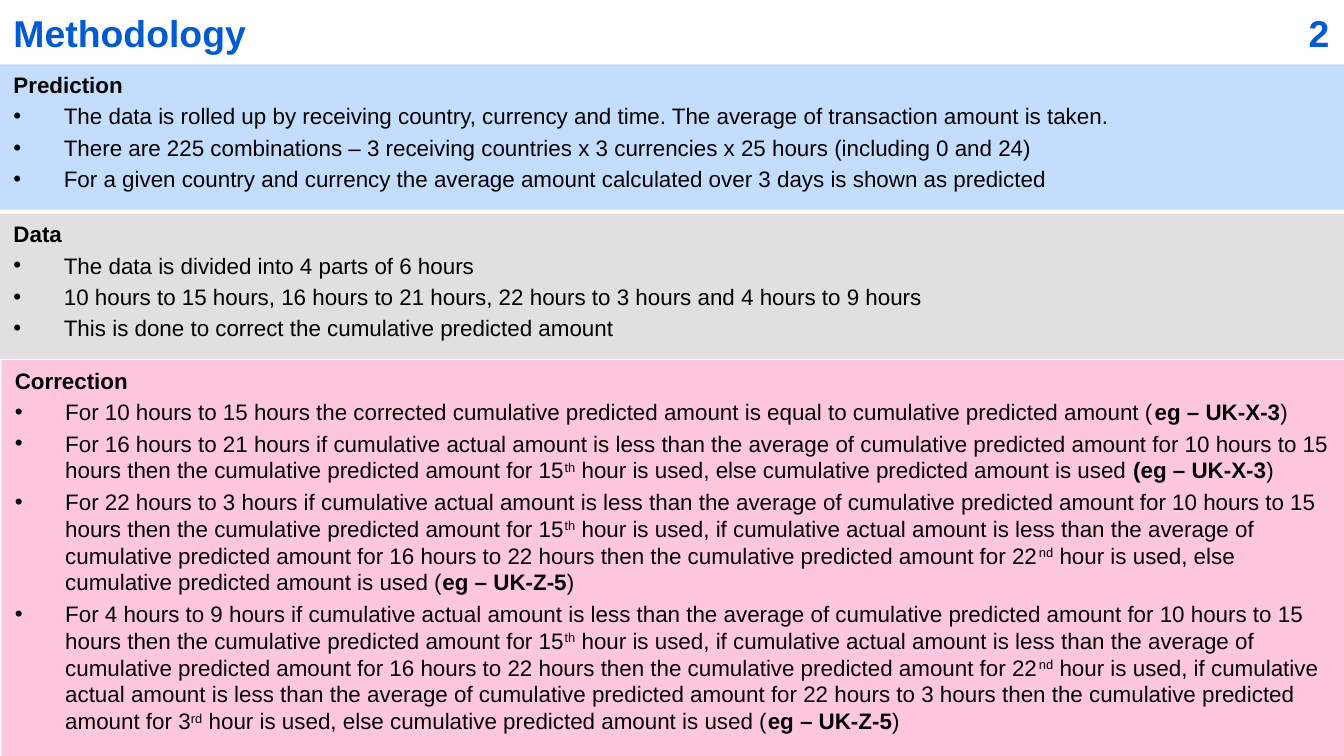
"""Build the Methodology slide with its three coloured sections."""
from dataclasses import dataclass

from lxml import etree
from pptx import Presentation
from pptx import util as u
from pptx.dml.color import RGBColor
from pptx.enum import text
from pptx.oxml.ns import qn


@dataclass(frozen=True)
class Theme:
    font: str = "Arial"
    heading_color: str = "005BD3"
    body_color: str = "000000"
    prediction_fill: str = "C3DDFF"
    data_fill: str = "E0E0E0"
    correction_fill: str = "FFC7DD"
    heading_size: float = 20
    body_size: float = 12
    space_before: float = 2.4
    indent: float = 3 / 8


def add_run(paragraph, words, *, font, size, color, bold=False, raised=False):
    run = paragraph.add_run()
    run.text = words
    run.font.name = font
    run.font.size = u.Pt(size)
    run.font.bold = bold
    run.font.color.rgb = RGBColor.from_string(color)
    if raised:
        run.font._element.set("baseline", "30000")


class SlideBuilder:
    def __init__(self, slide, theme):
        self.slide = slide
        self.theme = theme

    def place(self, shape, left, top, width, height, anchor):
        shape.left, shape.top = u.Inches(left), u.Inches(top)
        shape.width, shape.height = u.Inches(width), u.Inches(height)
        frame = shape.text_frame
        frame.word_wrap = True
        frame.auto_size = text.MSO_AUTO_SIZE.NONE
        frame.vertical_anchor = anchor
        return frame

    def heading(self, shape, words, left, width, alignment):
        frame = self.place(shape, left, 0, width, 0.48, text.MSO_ANCHOR.MIDDLE)
        paragraph = frame.paragraphs[0]
        paragraph.alignment = alignment
        add_run(paragraph, words, font=self.theme.font, size=self.theme.heading_size,
                color=self.theme.heading_color, bold=True)

    def title(self, words):
        self.heading(self.slide.shapes.title, words, 0, 10, text.PP_ALIGN.LEFT)

    def page_number(self, words):
        box = self.slide.shapes.add_textbox(0, 0, 0, 0)
        self.heading(box, words, 9, 0.99, text.PP_ALIGN.RIGHT)

    def paragraph(self, paragraph, runs, bullet):
        theme = self.theme
        paragraph.alignment = text.PP_ALIGN.LEFT
        paragraph.space_before = u.Pt(theme.space_before)
        properties = paragraph._p.get_or_add_pPr()
        indent = u.Inches(theme.indent) if bullet else 0
        properties.set("marL", str(indent))
        properties.set("indent", str(-indent))
        if bullet:
            etree.SubElement(properties, qn("a:buFont"), typeface=theme.font)
            etree.SubElement(properties, qn("a:buChar"), char="•")
        else:
            etree.SubElement(properties, qn("a:buNone"))
        for words, style in runs:
            add_run(paragraph, words, font=theme.font, size=theme.body_size,
                    color=theme.body_color, **style)

    def section(self, placeholder, heading, items, fill, left, top, height):
        frame = self.place(placeholder, left, top, 10, height, text.MSO_ANCHOR.TOP)
        placeholder.fill.solid()
        placeholder.fill.fore_color.rgb = RGBColor.from_string(fill)
        self.paragraph(frame.paragraphs[0], [(heading, BOLD)], bullet=False)
        for runs in items:
            self.paragraph(frame.add_paragraph(), runs, bullet=True)


PLAIN, BOLD, RAISED = {}, {"bold": True}, {"raised": True}


def condition(average_hours, hour, suffix):
    words = ("if cumulative actual amount is less than the average of cumulative "
             f"predicted amount for {average_hours} then the cumulative predicted "
             f"amount for {hour}")
    return [(words, PLAIN), (suffix, RAISED), (" hour is used, ", PLAIN)]


def otherwise(ending, example):
    return [(f"else cumulative predicted amount is used{ending}", PLAIN),
            (example, BOLD), (")", PLAIN)]


def plain_items(*lines):
    return [[(line, PLAIN)] for line in lines]


FIRST = condition("10 hours to 15 hours", 15, "th")
SECOND = condition("16 hours to 22 hours", 22, "nd")
THIRD = condition("22 hours to 3 hours", 3, "rd")

PREDICTION = plain_items(
    "The data is rolled up by receiving country, currency and time. "
    "The average of transaction amount is taken.",
    "There are 225 combinations – 3 receiving countries x 3 currencies x 25 hours "
    "(including 0 and 24)",
    "For a given country and currency the average amount calculated over 3 days "
    "is shown as predicted",
)
DATA = plain_items(
    "The data is divided into 4 parts of 6 hours",
    "10 hours to 15 hours, 16 hours to 21 hours, 22 hours to 3 hours "
    "and 4 hours to 9 hours",
    "This is done to correct the cumulative predicted amount",
)
CORRECTION = [
    [("For 10 hours to 15 hours the corrected cumulative predicted amount is equal "
      "to cumulative predicted amount (", PLAIN), ("eg – UK-X-3", BOLD), (")", PLAIN)],
    [("For 16 hours to 21 hours ", PLAIN), *FIRST, *otherwise(" ", "(eg – UK-X-3")],
    [("For 22 hours to 3 hours ", PLAIN), *FIRST, *SECOND,
     *otherwise(" (", "eg – UK-Z-5")],
    [("For 4 hours to 9 hours ", PLAIN), *FIRST, *SECOND, *THIRD,
     *otherwise(" (", "eg – UK-Z-5")],
]


def main():
    presentation = Presentation()
    presentation.slide_width = u.Inches(10)
    presentation.slide_height = u.Inches(10 * 9 / 16)
    comparison_layout = presentation.slide_layouts[4]
    slide = presentation.slides.add_slide(comparison_layout)
    theme = Theme()
    builder = SlideBuilder(slide, theme)

    _, prediction, data, correction, spare = slide.placeholders
    spare.element.getparent().remove(spare.element)
    builder.title("Methodology")
    builder.page_number("2")
    builder.section(prediction, "Prediction", PREDICTION, theme.prediction_fill,
                    left=0, top=0.48, height=1.08)
    builder.section(data, "Data", DATA, theme.data_fill,
                    left=0, top=1.59, height=1.08)
    builder.section(correction, "Correction", CORRECTION, theme.correction_fill,
                    left=0.01, top=2.68, height=2.95)
    presentation.save("out.pptx")


if __name__ == "__main__":
    main()
